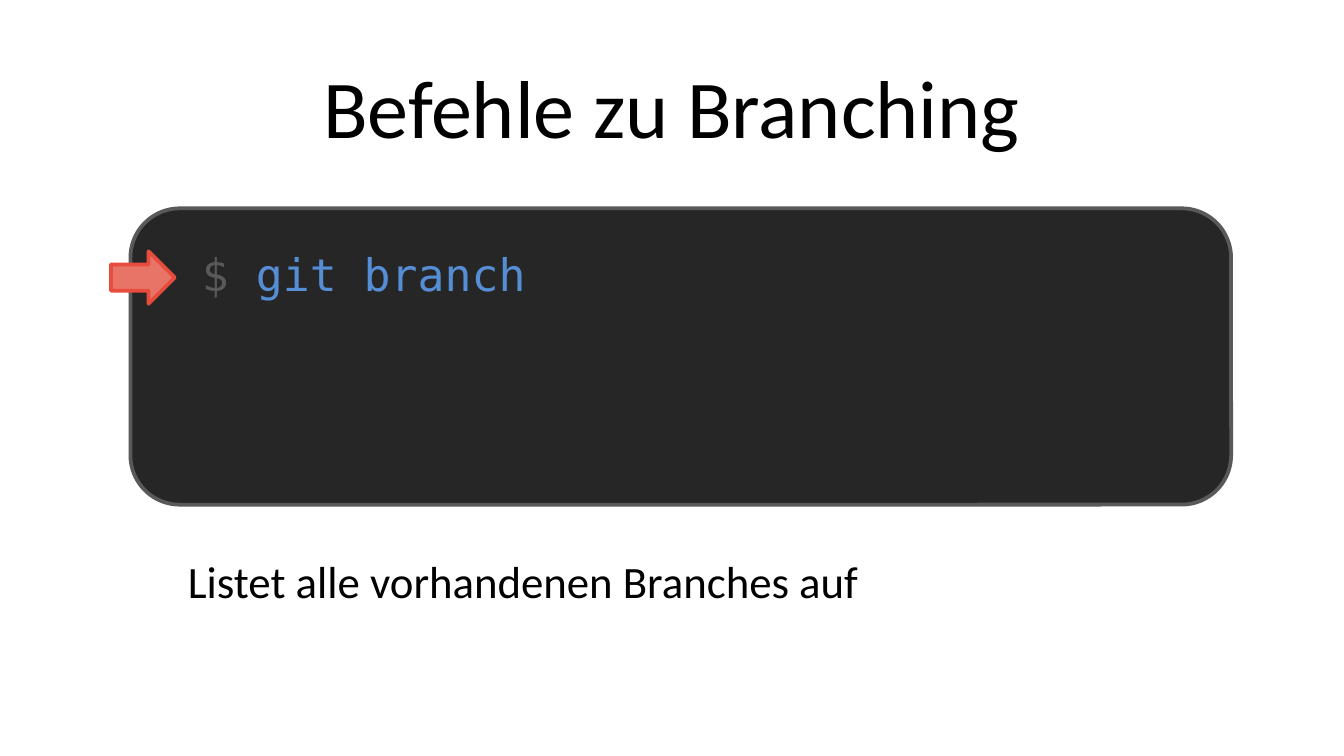
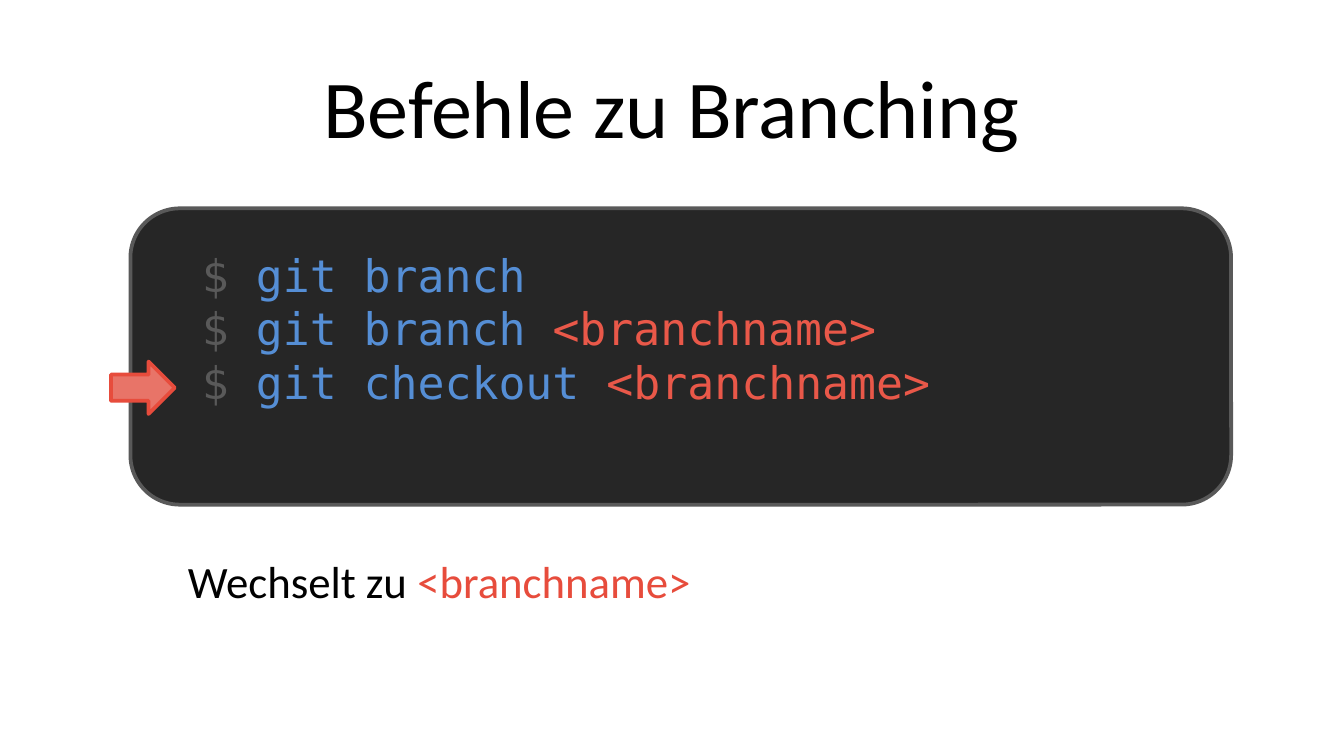
import dataclasses

import pptx
import pptx.dml.color
import pptx.enum.shapes
import pptx.enum.text
import pptx.util

Shapes = pptx.enum.shapes.MSO_SHAPE
Align = pptx.enum.text.PP_ALIGN

UNIT = pptx.util.Inches(0.1)
COLUMNS, ROWS = 100, 56.25
LINE_STEP = 4.1
BODY_FONT, CODE_FONT = "Calibri", "DejaVu Sans Mono"
BLACK, WHITE, GREY, TERMINAL = "000000", "FFFFFF", "595959", "262626"
COMMAND, ARGUMENT, RED, ARROW = "558ED5", "E95849", "E74C3C", "E87468"
HEADING = "Befehle zu Branching"
BRANCH_NAME = "<branchname>"


@dataclasses.dataclass(frozen=True)
class Area:
    column: float
    row: float
    columns: float
    rows: float

    def lengths(self) -> list[int]:
        return [round(UNIT * n) for n in (self.column, self.row, self.columns, self.rows)]


@dataclasses.dataclass(frozen=True)
class Span:
    text: str
    color: str


@dataclasses.dataclass(frozen=True)
class Command:
    call: str
    argument: str = ""

    def spans(self) -> list[Span]:
        prompt = Span("$ ", GREY)
        if not self.argument:
            return [prompt, Span(self.call, COMMAND)]
        return [prompt, Span(self.call + " ", COMMAND), Span(self.argument, ARGUMENT)]


@dataclasses.dataclass(frozen=True)
class Step:
    command: Command
    explanation: list[Span]


STEPS = [
    Step(Command("git branch"), [Span("Listet alle vorhandenen Branches auf", BLACK)]),
    Step(Command("git checkout", BRANCH_NAME),
         [Span("Wechselt zu ", BLACK), Span(BRANCH_NAME, RED)]),
]
COMMANDS = [Command("git branch"), Command("git branch", BRANCH_NAME), STEPS[1].command]


def rgb(color: str) -> pptx.dml.color.RGBColor:
    return pptx.dml.color.RGBColor.from_string(color)


def place(shape, area: Area) -> None:
    shape.left, shape.top, shape.width, shape.height = area.lengths()


def write(frame, lines: list[list[Span]], font: str, size: float, align=Align.LEFT) -> None:
    frame.word_wrap = True
    frame.auto_size = pptx.enum.text.MSO_AUTO_SIZE.NONE
    frame.vertical_anchor = pptx.enum.text.MSO_ANCHOR.TOP
    for index, spans in enumerate(lines):
        paragraph = frame.add_paragraph() if index else frame.paragraphs[0]
        paragraph.alignment = align
        for span in spans:
            run = paragraph.add_run()
            run.text = span.text
            run.font.name = font
            run.font.size = pptx.util.Pt(size)
            run.font.color.rgb = rgb(span.color)


def draw_text(slide, area: Area, lines: list[list[Span]], font: str) -> None:
    write(slide.shapes.add_textbox(*area.lengths()).text_frame, lines, font, 24)


def draw_shape(slide, kind, area: Area, fill: str, line: str):
    shape = slide.shapes.add_shape(kind, *area.lengths())
    shape.shadow.inherit = False
    shape.fill.solid()
    shape.fill.fore_color.rgb = rgb(fill)
    shape.line.color.rgb = rgb(line)
    shape.line.width = pptx.util.Pt(2)
    return shape


def add_step(deck, step: Step) -> None:
    slide = deck.slides.add_slide(deck.slide_layouts[5])
    slide.background.fill.solid()
    slide.background.fill.fore_color.rgb = rgb(WHITE)
    heading = slide.shapes.title
    place(heading, Area(5, 3.7, 90, 9.4))
    write(heading.text_frame, [[Span(HEADING, BLACK)]], BODY_FONT, 44, Align.CENTER)

    terminal = draw_shape(slide, Shapes.ROUNDED_RECTANGLE, Area(9.7, 15.5, 81.9, 22.05),
                          TERMINAL, GREY)
    terminal.adjustments[0] = 0.167
    current = COMMANDS.index(step.command)
    shown = [command.spans() for command in COMMANDS[:current + 1]]
    draw_text(slide, Area(14.04, 17.9, 73.2, 5 + current * LINE_STEP), shown, CODE_FONT)
    draw_text(slide, Area(13, 40.7, 71.4, 5), [step.explanation], BODY_FONT)
    draw_shape(slide, Shapes.RIGHT_ARROW,
               Area(8.25, 18.7 + current * LINE_STEP, 4.75, 3.9), ARROW, RED)


def main() -> None:
    deck = pptx.Presentation()
    deck.slide_width = round(UNIT * COLUMNS)
    deck.slide_height = round(UNIT * ROWS)
    for step in STEPS:
        add_step(deck, step)
    deck.save("out.pptx")


if __name__ == "__main__":
    main()
